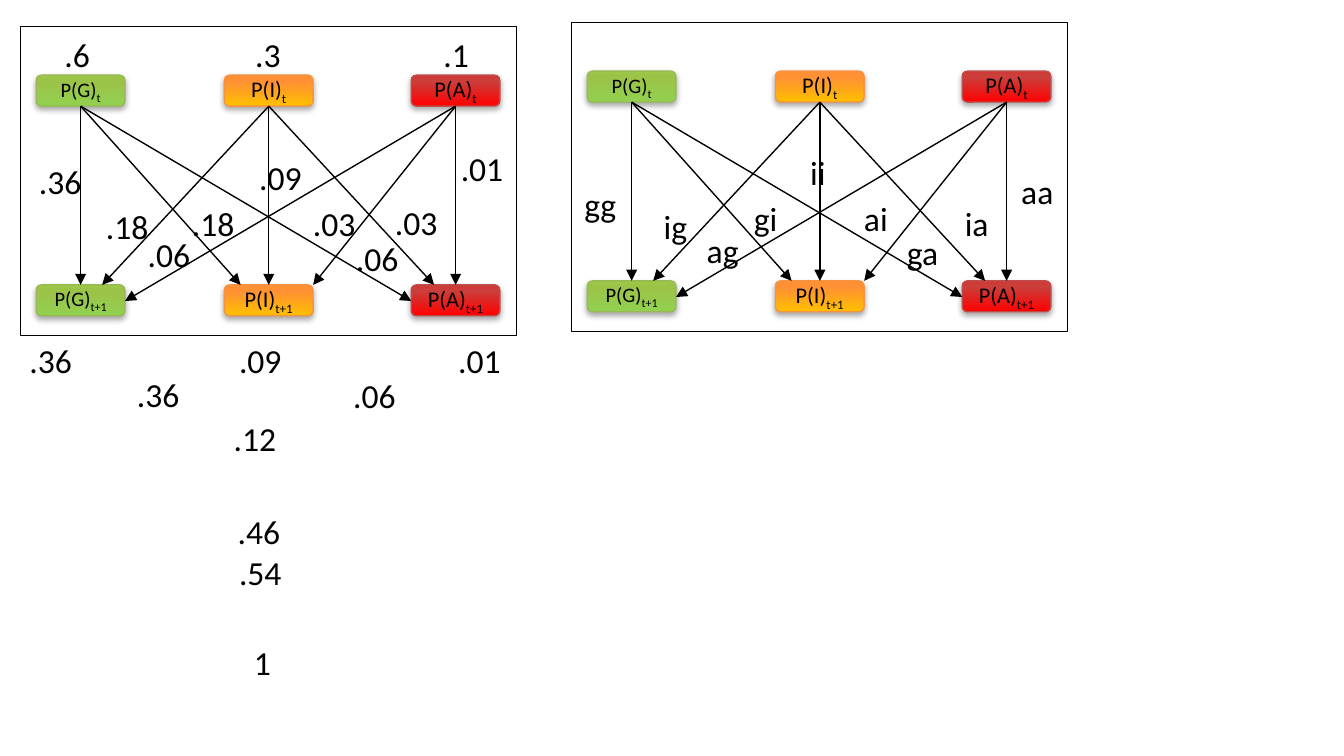
import copy
from dataclasses import dataclass

import lxml.etree
import pptx
import pptx.dml.color
import pptx.enum.dml
import pptx.enum.shapes
import pptx.enum.text
import pptx.oxml
import pptx.oxml.ns
import pptx.util

PX = 9144  # 100 px to the inch
NODE_WIDTH, NODE_HEIGHT = 66, 23
TOP_ROW, BOTTOM_ROW = 36, 192
SHAPE = pptx.enum.shapes.MSO_SHAPE


@dataclass(frozen=True)
class Theme:
    font: str = "Calibri"
    ink: str = "000000"
    paper: str = "FFFFFF"
    value_size: int = 18
    frame_line: float = 0.5
    thin_line: float = 0.75


@dataclass(frozen=True)
class State:
    left: int
    size: int
    stops: tuple
    outline: str


THEME = Theme()
STATES = {
    "G": State(12, 11, ((0, "92D050"), (0.8, "9BC348"), (1, "9DC746")), "98B955"),
    "I": State(152, 12, ((0, "FFC000"), (0.8, "FF9034"), (1, "FF9136")), "F69240"),
    "A": State(291, 12, ((0, "FF0000"), (0.8, "CB3E3A"), (1, "CE3B37")), "BF4C48"),
}
# Where each arrow meets its target node, measured from the node's corner
ARROW_ENDS = {
    "GG": (33, 0), "GI": (12, 0), "GA": (0, 12),
    "IG": (49, 0), "II": (33, 0), "IA": (17, 0),
    "AG": (66, 12), "AI": (66, 0), "AA": (33, 0),
}
# Text, left, top, width
JOINT_PROBABILITIES = [
    (".36", 19, 115, 52), (".18", 133, 146, 52), (".06", 255, 172, 52),
    (".18", 69, 148, 52), (".03", 284, 145, 52), (".06", 100, 169, 52),
    (".03", 223, 146, 52), (".01", 333, 105, 52), (".09", 183, 112, 52),
]
TRANSITION_NAMES = [
    ("gg", 425, 132, 44), ("gi", 551, 142, 38), ("ga", 665, 168, 44),
    ("ig", 484, 148, 38), ("ia", 708, 146, 38), ("ag", 516, 166, 44),
    ("ai", 633, 142, 38), ("aa", 750, 122, 44), ("ii", 593, 108, 32),
]
PRIORS_AND_SUMS = [
    (".6", 38, 20, 39), (".3", 180, 20, 39), (".1", 320, 20, 39),
    (".36", 12, 248, 52), (".36", 92, 273, 52), (".12", 164, 306, 52),
    (".09", 168, 248, 52), (".06", 253, 274, 52), (".01", 331, 248, 52),
    (".46", 167, 375, 52), (".54", 168, 406, 52), ("1", 179, 473, 33),
]


def px(*lengths):
    return [pptx.util.Emu(length * PX) for length in lengths]


def rgb(code):
    return pptx.dml.color.RGBColor.from_string(code)


def format_span(span, size):
    span.font.name = THEME.font
    span.font.size = pptx.util.Pt(size)
    span.font.color.rgb = rgb(THEME.ink)


def set_line(line, color, width):
    line.color.rgb = rgb(color)
    line.width = pptx.util.Pt(width)


def add_label(shapes, text, left, top, width):
    box = shapes.add_textbox(*px(left, top, width, 40))
    frame = box.text_frame
    frame.word_wrap = False
    frame.auto_size = pptx.enum.text.MSO_AUTO_SIZE.SHAPE_TO_FIT_TEXT
    frame.text = text
    format_span(frame.paragraphs[0].runs[0], THEME.value_size)


def add_frame(shapes, left, top):
    frame = shapes.add_shape(SHAPE.RECTANGLE, *px(left, top, 369, 230))
    frame.shadow.inherit = False
    frame.fill.solid()
    frame.fill.fore_color.rgb = rgb(THEME.paper)
    set_line(frame.line, THEME.ink, THEME.frame_line)


def fill_upward_gradient(shape, stops):
    shape.fill.gradient()
    shape.fill.gradient_angle = 90
    stop_list = shape.element.spPr.find(".//" + pptx.oxml.ns.qn("a:gsLst"))
    stop_list.append(copy.deepcopy(stop_list[-1]))
    for stop, (position, color) in zip(shape.fill.gradient_stops, stops):
        stop.position = position
        stop.color.rgb = rgb(color)


def add_soft_shadow(shape):
    shape.shadow.inherit = False
    effects = shape.element.spPr.find(pptx.oxml.ns.qn("a:effectLst"))
    effects.append(pptx.oxml.parse_xml(
        f'<a:outerShdw {pptx.oxml.ns.nsdecls("a")} blurRad="40000" dist="23000"'
        ' dir="5400000" rotWithShape="0"><a:srgbClr val="000000">'
        '<a:alpha val="35000"/></a:srgbClr></a:outerShdw>'))


def add_node(shapes, name, time, left, top):
    state = STATES[name]
    node = shapes.add_shape(SHAPE.ROUNDED_RECTANGLE,
                            *px(left, top, NODE_WIDTH, NODE_HEIGHT))
    fill_upward_gradient(node, state.stops)
    set_line(node.line, state.outline, THEME.thin_line)
    add_soft_shadow(node)
    node.text_frame.vertical_anchor = pptx.enum.text.MSO_ANCHOR.MIDDLE
    para = node.text_frame.paragraphs[0]
    para.alignment = pptx.enum.text.PP_ALIGN.CENTER
    para.text = f"P({name})"
    para.add_run().text = time
    for span in para.runs:
        format_span(span, state.size)
    para.runs[1].font._element.set("baseline", "-25000")


def add_arrow(shapes, start, end):
    arrow = shapes.add_connector(pptx.enum.shapes.MSO_CONNECTOR.STRAIGHT,
                                 *px(*start, *end))
    set_line(arrow.line, THEME.ink, THEME.thin_line)
    qn = pptx.oxml.ns.qn
    properties = arrow.element.spPr
    lxml.etree.SubElement(properties.find(qn("a:ln")), qn("a:tailEnd"),
                          type="triangle")
    lxml.etree.SubElement(properties, qn("a:effectLst"))


def add_transition_diagram(page, left, top, labels):
    """Draw the states at t and t+1 with an arrow for every transition."""
    shapes = page.shapes.add_group_shape().shapes
    add_frame(shapes, left, top)
    for name, state in STATES.items():
        for time, row in (("t", TOP_ROW), ("t+1", BOTTOM_ROW)):
            add_node(shapes, name, time, left + state.left, top + row)
    for (source, target), (across, down) in ARROW_ENDS.items():
        start = (left + STATES[source].left + NODE_WIDTH // 2,
                 top + TOP_ROW + NODE_HEIGHT)
        end = (left + STATES[target].left + across, top + BOTTOM_ROW + down)
        add_arrow(shapes, start, end)
    for label in labels:
        add_label(shapes, *label)


def main():
    deck = pptx.Presentation()
    deck.slide_width = pptx.util.Inches(10)
    deck.slide_height = deck.slide_width * 9 // 16
    page = deck.slides.add_slide(deck.slide_layouts[6])
    add_transition_diagram(page, 15, 20, JOINT_PROBABILITIES)
    add_transition_diagram(page, 425, 17, TRANSITION_NAMES)
    for label in PRIORS_AND_SUMS:
        add_label(page.shapes, *label)
    deck.save("out.pptx")


if __name__ == "__main__":
    main()
